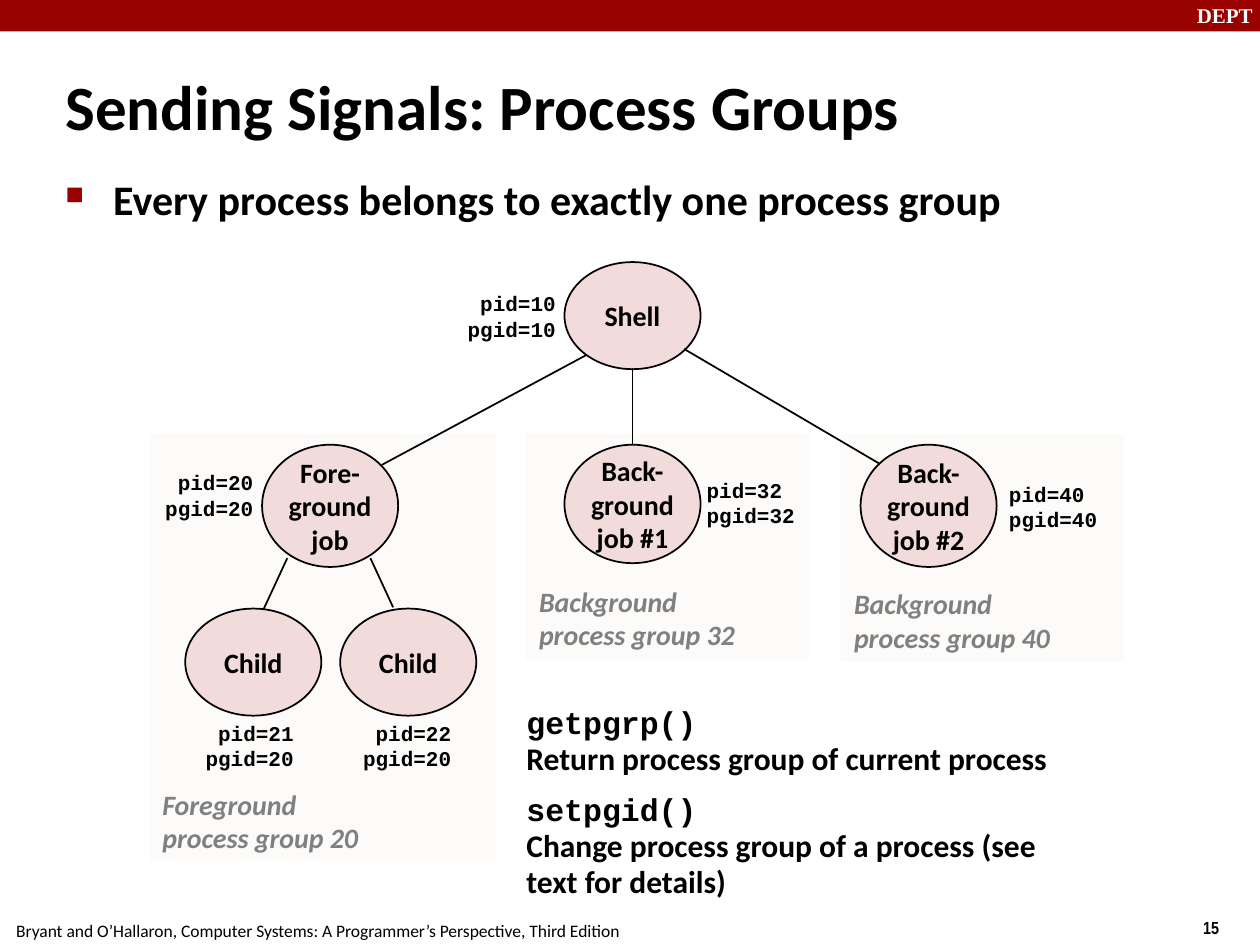
from dataclasses import dataclass

from lxml import etree
from pptx import Presentation
from pptx.dml.color import RGBColor
from pptx.enum.shapes import MSO_CONNECTOR, MSO_SHAPE
from pptx.enum.text import MSO_ANCHOR, MSO_AUTO_SIZE, PP_ALIGN
from pptx.oxml.ns import qn
from pptx.util import Inches, Pt

LEFT, MID, RIGHT = PP_ALIGN.LEFT, PP_ALIGN.CENTER, PP_ALIGN.RIGHT
TOP, CENTER = MSO_ANCHOR.TOP, MSO_ANCHOR.MIDDLE
RECT, OVAL = MSO_SHAPE.RECTANGLE, MSO_SHAPE.OVAL
STRAIGHT = MSO_CONNECTOR.STRAIGHT
NO_FIT = MSO_AUTO_SIZE.NONE


@dataclass(frozen=True)
class Theme:
    red: str = "990000"
    pink: str = "F2DCDB"
    panel: str = "FCFBF9"
    black: str = "000000"
    gray: str = "808080"
    white: str = "FFFFFF"
    sans: str = "Calibri"
    mono: str = "Courier New"
    serif: str = "Times New Roman"
    narrow: str = "Arial Narrow"
    title: int = 36
    lead: int = 24
    body: int = 18
    node: int = 16
    code: int = 12
    foot: int = 10


THEME = Theme()


def rgb(color):
    return RGBColor.from_string(color)


def style(run, size, face=THEME.sans, color=THEME.black, bold=True, slant=False):
    font = run.font
    font.name, font.size = face, Pt(size)
    font.bold, font.italic = bold, slant
    font.color.rgb = rgb(color)


def write(frame, text, size, align=LEFT, anchor=TOP, wrap=True, **look):
    frame.text = text
    frame.word_wrap = wrap
    frame.auto_size = NO_FIT
    frame.vertical_anchor = anchor
    for para in frame.paragraphs:
        para.alignment = align
        for run in para.runs:
            style(run, size, **look)


def add_text(slide, box, text, size, **look):
    shape = slide.shapes.add_textbox(*map(Inches, box))
    write(shape.text_frame, text, size, **look)
    return shape.text_frame


def add_rect(slide, box, color, kind=RECT):
    shape = slide.shapes.add_shape(kind, *map(Inches, box))
    shape.shadow.inherit = False
    shape.fill.solid()
    shape.fill.fore_color.rgb = rgb(color)
    shape.line.fill.background()
    return shape


def add_node(slide, left, top, high, text):
    node = add_rect(slide, (left, top, 1.08, high), THEME.pink, OVAL)
    node.line.color.rgb = rgb(THEME.black)
    node.line.width = Pt(1)
    write(node.text_frame, text, THEME.node, align=MID, anchor=CENTER, wrap=False)
    return node


def add_line(slide, ends):
    line = slide.shapes.add_connector(STRAIGHT, *map(Inches, ends))
    line.line.color.rgb = rgb(THEME.black)
    line.line.width = Pt(1)
    etree.SubElement(line._element.spPr, qn("a:effectLst"))
    return line


def add_ids(slide, left, top, pid, group, align=RIGHT):
    add_text(slide, (left, top, 0.9, 0.5), f"pid={pid}\npgid={group}", THEME.code,
             align=align, anchor=CENTER, wrap=False, face=THEME.mono)


def add_group(slide, left, top, name, group):
    add_text(slide, (left, top, 1.93, 0.63), f"{name}\nprocess group {group}",
             THEME.node, anchor=CENTER, color=THEME.gray, slant=True)


def add_bullet(para):
    para.space_before = Pt(4.8)
    props = para._p.get_or_add_pPr()
    props.set("marL", str(Inches(0.38)))
    props.set("indent", str(-Inches(0.38)))
    tint = etree.SubElement(props, qn("a:buClr"))
    etree.SubElement(tint, qn("a:srgbClr"), val=THEME.red)
    etree.SubElement(props, qn("a:buSzPct"), val="60000")
    etree.SubElement(props, qn("a:buChar"), char="■")


def add_frame(slide):
    add_rect(slide, (0, 0, 10, 0.25), THEME.red)
    add_text(slide, (9.4, -0.03, 0.67, 0.3), "DEPT", THEME.code, wrap=False,
             face=THEME.serif, color=THEME.white)
    add_text(slide, (9.45, 7.23, 0.75, 0.26), "15", THEME.foot, wrap=False,
             face=THEME.narrow)
    add_text(slide, (0.03, 7.25, 4.99, 0.26),
             "Bryant and O’Hallaron, Computer Systems: "
             "A Programmer’s Perspective, Third Edition",
             THEME.foot, wrap=False, bold=False)


def add_head(slide):
    title = slide.shapes.title
    title.left, title.top, title.width, title.height = map(
        Inches, (0.42, 0.42, 8.3, 0.83))
    write(title.text_frame, "Sending Signals: Process Groups", THEME.title,
          anchor=CENTER)
    lead = add_text(slide, (0.42, 1.33, 8.44, 0.67),
                    "Every process belongs to exactly one process group", THEME.lead)
    add_bullet(lead.paragraphs[0])


def add_tree(slide):
    # Group panels
    for box in ((6.67, 3.45, 2.25, 1.8), (4.17, 3.44, 2.25, 1.8),
                (1.19, 3.44, 2.75, 3.39)):
        add_rect(slide, box, THEME.panel)

    # Processes
    add_node(slide, 2.08, 3.53, 0.97, "Fore-\nground\njob")
    job = add_node(slide, 4.48, 3.53, 0.94, "Back-\nground\njob #1")
    add_node(slide, 6.83, 3.53, 0.97, "Back-\nground\njob #2")
    add_node(slide, 4.48, 2.08, 0.85, "Shell")
    for left in (1.47, 2.7):
        add_node(slide, left, 4.83, 0.85, "Child")

    # Parent to child lines
    for ends in ((2.28, 4.43, 2.09, 4.84), (2.94, 4.43, 3.12, 4.82),
                 (4.65, 2.82, 3.03, 3.69), (5.43, 2.77, 6.98, 3.68)):
        add_line(slide, ends)
    add_line(slide, (5.02, 2.92, 5.02, 3.53)).end_connect(job, 0)

    # Process and group numbers
    add_ids(slide, 3.61, 2.26, 10, 10)
    add_ids(slide, 1.21, 3.68, 20, 20)
    add_ids(slide, 5.51, 3.74, 32, 32, LEFT)
    add_ids(slide, 7.91, 3.77, 40, 40, LEFT)
    add_ids(slide, 1.53, 5.67, 21, 20)
    add_ids(slide, 2.78, 5.67, 22, 20)

    # Group names
    add_group(slide, 1.19, 6.2, "Foreground", 20)
    add_group(slide, 4.18, 4.59, "Background", 32)
    add_group(slide, 6.68, 4.61, "Background", 40)


def add_calls(slide):
    frame = add_text(
        slide, (4.08, 5.55, 4.5, 1.7),
        "getpgrp()\vReturn process group of current process\n"
        "setpgid()\vChange process group of a process (see text for details)",
        THEME.body)
    for para in frame.paragraphs:
        para.line_spacing = 0.95
        para.space_before = Pt(9)
        para.runs[0].font.name = THEME.mono


def main():
    deck = Presentation()
    deck.slide_width, deck.slide_height = Inches(10), Inches(7.5)
    slide = deck.slides.add_slide(deck.slide_layouts[5])
    add_frame(slide)
    add_head(slide)
    add_tree(slide)
    add_calls(slide)
    deck.save("out.pptx")


if __name__ == "__main__":
    main()
